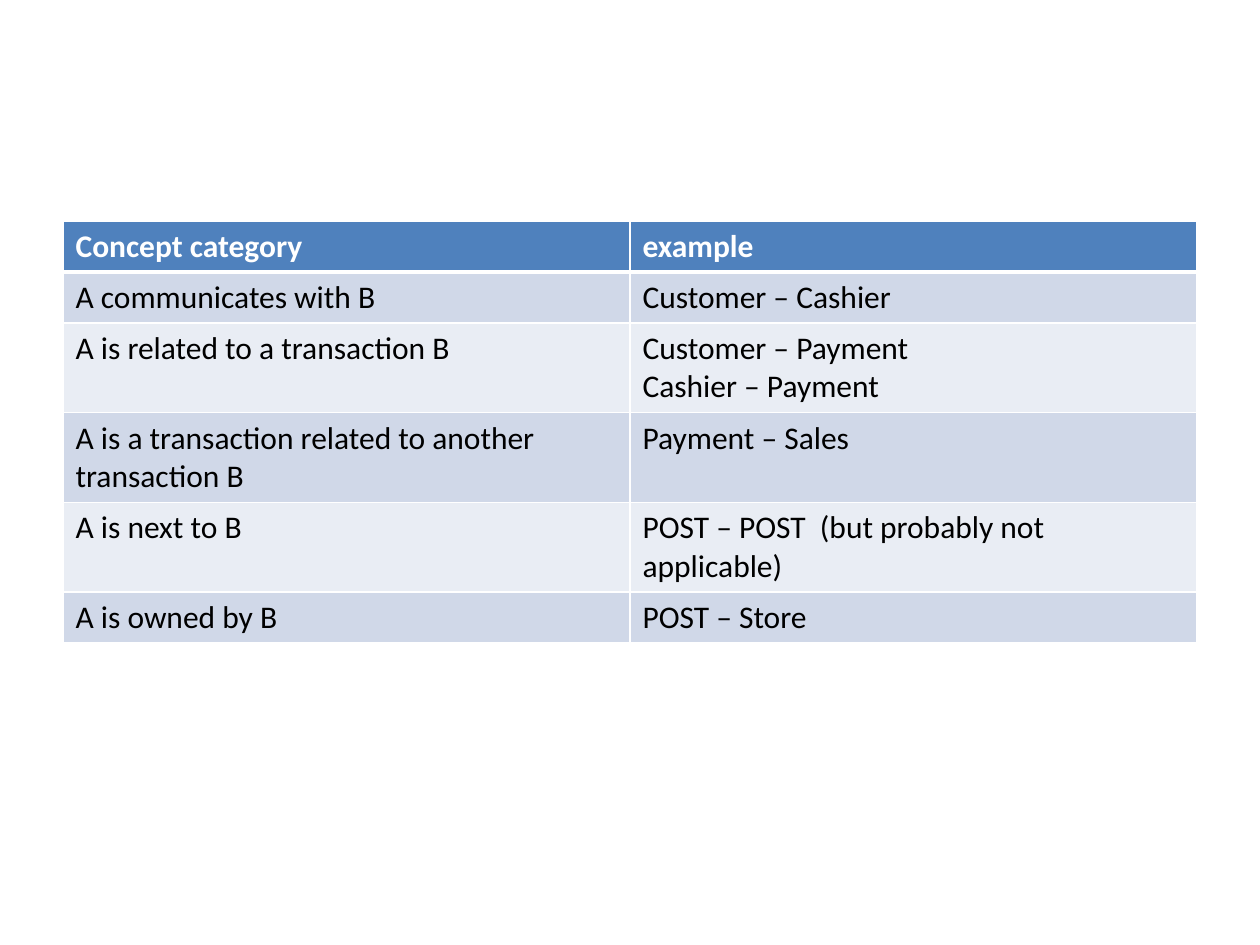
from typing import NamedTuple

from lxml.etree import SubElement as Sub
from pptx import Presentation
from pptx.dml.color import RGBColor as RGB
from pptx.oxml.ns import qn
from pptx.util import Pt

PX = 914400 // 126
LEFT, TOP, COL = 63, 221, 567
LINE, EXTRA = 51, 38  # height of a one-line row, and of each further line

WHITE = RGB(0xFF, 0xFF, 0xFF)
BLACK = RGB(0x00, 0x00, 0x00)
BLUE = RGB(0x4F, 0x81, 0xBD)
BANDS = RGB(0xD0, 0xD8, 0xE8), RGB(0xE9, 0xED, 0xF4)


class Row(NamedTuple):
    name: str
    case: str
    lines: int = 1


ROWS = [
    Row("Concept category", "example"),
    Row("A communicates with B", "Customer – Cashier"),
    Row("A is related to a transaction B", "Customer – Payment\nCashier – Payment", 2),
    Row("A is a transaction related to another transaction B", "Payment – Sales", 2),
    Row("A is next to B", "POST – POST  (but probably not applicable)", 2),
    Row("A is owned by B", "POST – Store"),
]


def add_edge(cell, side: str, width: float) -> None:
    """Draw one white border; call before the cell is filled."""
    line = Sub(cell._tc.get_or_add_tcPr(), qn(f"a:ln{side}"), w=str(Pt(width)))
    Sub(Sub(line, qn("a:solidFill")), qn("a:srgbClr"), val=str(WHITE))


def set_cell(cell, text: str, index: int) -> None:
    head = index == 0
    # Borders, with a thick rule under the header
    for side in "LRTB":
        rule = (index, side) in ((0, "B"), (1, "T"))
        add_edge(cell, side, 3 if rule else 1)
    # Fill
    cell.fill.solid()
    cell.fill.fore_color.rgb = BLUE if head else BANDS[(index - 1) % 2]
    # Text
    cell.text_frame.text = text
    for para in cell.text_frame.paragraphs:
        for run in para.runs:
            font = run.font
            font.name, font.size, font.bold = "Calibri", Pt(18), head
            font.color.rgb = WHITE if head else BLACK


def main() -> None:
    deck = Presentation()
    deck.slide_width, deck.slide_height = 1260 * PX, 945 * PX
    slide = deck.slides.add_slide(deck.slide_layouts[6])

    # Table of concept categories
    highs = [LINE + EXTRA * (row.lines - 1) for row in ROWS]
    table = slide.shapes.add_table(
        len(ROWS), 2, LEFT * PX, TOP * PX, 2 * COL * PX, sum(highs) * PX
    ).table
    for i, (row, high) in enumerate(zip(ROWS, highs)):
        table.rows[i].height = high * PX
        for j, text in enumerate((row.name, row.case)):
            set_cell(table.cell(i, j), text, i)

    deck.save("out.pptx")


if __name__ == "__main__":
    main()
